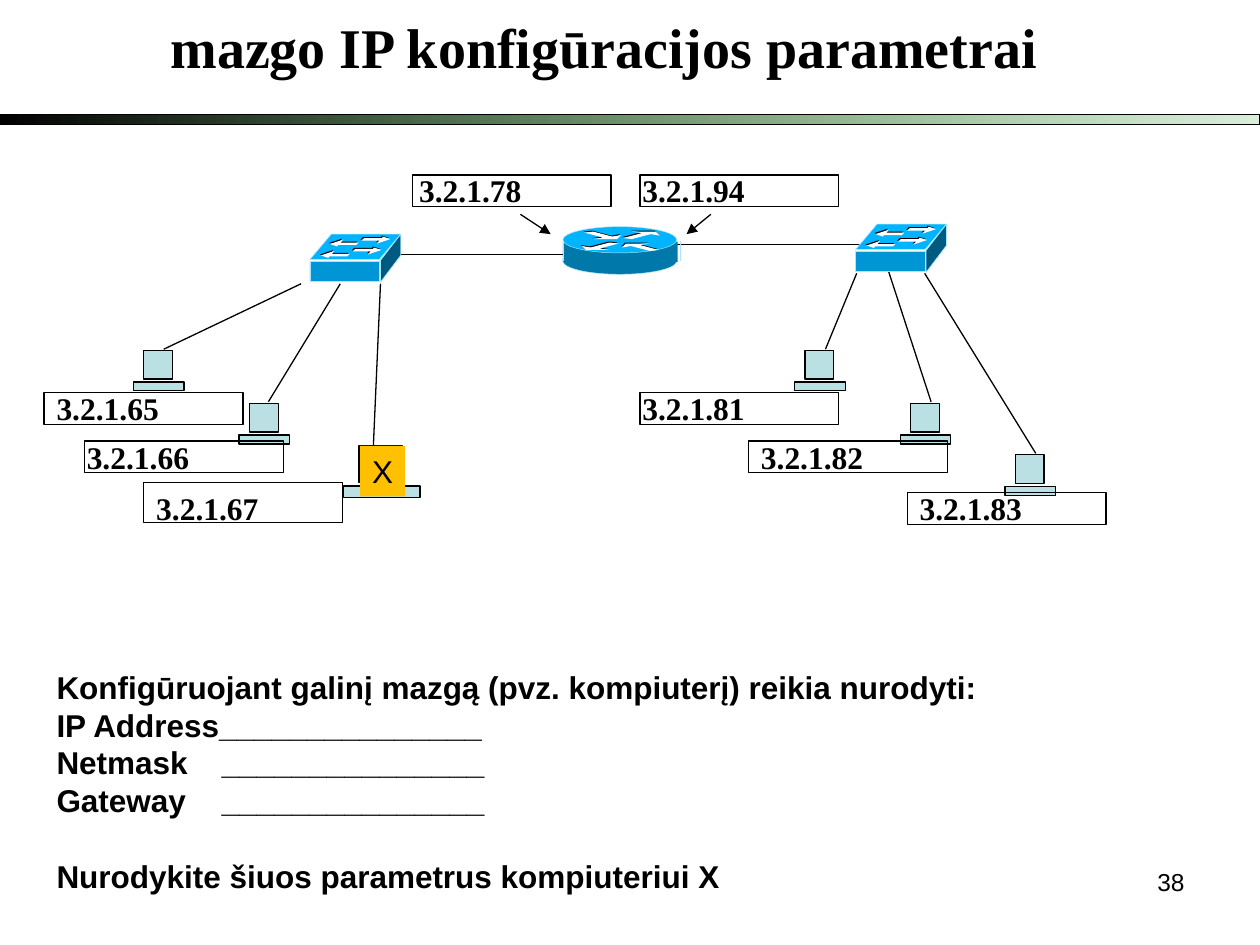
import pptx
import pptx.dml.color
import pptx.enum.shapes
import pptx.enum.text
import pptx.oxml
import pptx.oxml.ns
import pptx.util

Cm, Pt = pptx.util.Cm, pptx.util.Pt
KIND = pptx.enum.shapes.MSO_SHAPE
ALIGN = pptx.enum.text.PP_ALIGN
TIMES = "Times New Roman"
HUE = {
    "ink": "000000", "white": "FFFFFF", "green": "008000", "pc": "BBE0E3",
    "amber": "FFC000", "edge": "AAE6FF", "top": "00B4FF", "front": "0096D5",
    "side": "005A80", "drum": "0078AA",
}
DART = [(0.05, 0.03), (0, 0.08), (0.36, 0.08), (0.31, 0.14),
        (0.58, 0.05), (0.43, 0), (0.41, 0.03)]
BEND = [(0, 0.13), (0.18, 0.15), (0.56, 0.05), (0.74, 0.08),
        (0.66, 0), (0.18, 0), (0.38, 0.03)]
LABELS = [
    ("3.2.1.78", 8.31, 3.53, 0.64, 8.2, 3.33),
    ("3.2.1.94", 12.9, 3.53, 0.64, 12.7, 3.33),
    ("3.2.1.65", 0.89, 7.92, 0.64, 0.89, 7.72),
    ("3.2.1.66", 1.7, 8.89, 0.64, 1.5, 8.71),
    ("3.2.1.67", 2.9, 9.73, 0.81, 2.9, 9.73),
    ("3.2.1.81", 12.9, 7.92, 0.64, 12.7, 7.72),
    ("3.2.1.82", 15.09, 8.89, 0.64, 15.09, 8.71),
    ("3.2.1.83", 18.29, 9.93, 0.64, 18.29, 9.73),
]
NODES = [(2.9, 7.06), (7.24, 8.99, 1.52, 1.26), (5.03, 8.13),
         (16.23, 7.06), (18.36, 8.13), (20.47, 9.17)]
WIRES = [
    (6.07, 5.72, 3.3, 7.04), (6.86, 5.72, 5.41, 8.1),
    (7.67, 5.72, 7.52, 9.14), (17.27, 5.51, 16.64, 7.04),
    (17.86, 5.31, 18.77, 8.1), (18.64, 5.51, 20.88, 9.14),
    (8.05, 5.13, 11.56, 5.13), (13.64, 4.93, 17.55, 4.93),
]
HINTS = [(10.49, 4.32, 11.1, 4.72), (14.33, 4.32, 13.84, 4.72)]
TASK = [
    "Konfigūruojant galinį mazgą (pvz. kompiuterį) reikia nurodyti:",
    "IP Address_______________",
    "Netmask\t_______________",
    "Gateway\t_______________",
    "Nurodykite šiuos parametrus kompiuteriui X",
]


def tint(name):
    return pptx.dml.color.RGBColor.from_string(HUE[name])


def paint(shape, fill=None, line=None, width=0.75):
    shape.shadow.inherit = False
    if fill:
        shape.fill.solid()
        shape.fill.fore_color.rgb = tint(fill)
    else:
        shape.fill.background()
    if line:
        shape.line.color.rgb = tint(line)
        shape.line.width = Pt(width)
    else:
        shape.line.fill.background()
    return shape


def block(pen, x, y, w, h, fill=None, line="ink", width=0.75, kind=KIND.RECTANGLE):
    shape = pen.add_shape(kind, Cm(x), Cm(y), Cm(w), Cm(h))
    return paint(shape, fill, line, width)


def shard(pen, x, y, points, fill, line=None):
    spots = [(Cm(x + a), Cm(y + b)) for a, b in points]
    form = pen.build_freeform(*spots[0], scale=1.0)
    form.add_line_segments(spots[1:], close=True)
    return paint(form.convert_to_shape(), fill, line, 0.37)


def wire(pen, ends, hue="ink", width=0.75, head=False):
    link = pen.add_connector(pptx.enum.shapes.MSO_CONNECTOR.STRAIGHT, *map(Cm, ends))
    link.line.color.rgb = tint(hue)
    link.line.width = Pt(width)
    if head:
        tip = pptx.oxml.ns.qn("a:tailEnd")
        link.line._get_or_add_ln().makeelement(tip)
        node = pptx.oxml.parse_xml(
            f'<a:tailEnd {pptx.oxml.ns.nsdecls("a")} type="triangle"/>')
        link.line._get_or_add_ln().append(node)
    link._element.spPr.append(
        pptx.oxml.parse_xml(f'<a:effectLst {pptx.oxml.ns.nsdecls("a")}/>'))


def write(frame, lines, size, face="Arial", bold=False, align=ALIGN.LEFT, wrap=True):
    frame.word_wrap = wrap
    form = {"name": face, "size": Pt(size), "bold": bold}
    for i, line in enumerate(lines):
        para = frame.paragraphs[0] if i == 0 else frame.add_paragraph()
        para.alignment = align
        run = para.add_run()
        run.text = line
        for key, value in form.items():
            setattr(run.font, key, value)
        run.font.color.rgb = tint("ink")


def note(pen, x, y, w, h, lines, size, **form):
    frame = pen.add_textbox(Cm(x), Cm(y), Cm(w), Cm(h)).text_frame
    write(frame, lines, size, **form)
    return frame


def flip(points, w, h, across, down):
    return [(w - a if across else a, h - b if down else b) for a, b in points]


def marks(pen, x, y, arrows):
    for hue, gap in (("ink", 0), ("white", 0.02)):
        for dx, dy, points in arrows:
            shard(pen, x + dx + gap, y + dy + gap, points, hue)


def node(pen, x, y, wide=1, tall=1):
    pen = pen.add_group_shape().shapes
    block(pen, x, y, 0.58 * wide, 0.58 * tall, "pc")
    block(pen, x - 0.21 * wide, y + 0.64 * tall, 1.02 * wide, 0.18 * tall, "pc")


def switch(pen, x, y):
    pen = pen.add_group_shape().shapes
    block(pen, x, y + 0.55, 1.4, 0.41, "front", "edge", 0.37)
    shard(pen, x, y, [(1.42, 0.53), (1.83, 0), (1.83, 0.43), (1.42, 0.97)], "side", "edge")
    shard(pen, x, y, [(1.4, 0.51), (1.83, 0), (0.43, 0), (0, 0.51)], "top", "edge")
    back = flip(DART, 0.58, 0.15, True, True)
    marks(pen, x, y, [(0.84, 0.25, DART), (1.02, 0.03, DART),
                      (0.2, 0.31, back), (0.38, 0.08, back)])


def router(pen, x, y):
    pen = pen.add_group_shape().shapes
    block(pen, x, y + 0.43, 2.29, 0.53, "drum", "edge", 0.25, KIND.OVAL)
    block(pen, x, y + 0.3, 2.31, 0.41, "drum", None)
    block(pen, x, y, 2.29, 0.53, "top", "edge", 0.25, KIND.OVAL)
    spots = [(1.19, 0.08, False, False), (0.36, 0.3, True, True),
             (0.41, 0.08, False, True), (1.17, 0.32, True, False)]
    marks(pen, x, y, [(a, b, flip(BEND, 0.74, 0.15, across, down))
                      for a, b, across, down in spots])
    for side in (x, x + 2.36):
        wire(pen, (side, y + 0.28, side, y + 0.69), "edge", 0.25)


def rule(pen):
    bar = block(pen, 0, 2.31, 25.4, 0.2)
    bar.fill.gradient()
    bar.fill.gradient_angle = 180
    for stop, hue in zip(bar.fill.gradient_stops, ("green", "ink")):
        stop.color.rgb = tint(hue)
    first = bar._element.xpath(".//a:gs/a:srgbClr")[0]
    first.append(pptx.oxml.parse_xml(
        f'<a:alpha {pptx.oxml.ns.nsdecls("a")} val="14000"/>'))


def task(pen):
    frame = note(pen, 0.89, 13.34, 19.08, 4.83, TASK, 18, bold=True, wrap=False)
    for para in frame.paragraphs:
        para.line_spacing = Pt(21.6)
        para._p.get_or_add_pPr().append(pptx.oxml.parse_xml(
            f'<a:tabLst {pptx.oxml.ns.nsdecls("a")}>'
            f'<a:tab pos="{Cm(3.33)}" algn="l"/></a:tabLst>'))
    frame.paragraphs[-1].space_before = Pt(21.6)


def main():
    deck = pptx.Presentation()
    deck.slide_width, deck.slide_height = Cm(25.4), Cm(19.05)
    pen = deck.slides.add_slide(deck.slide_layouts[6]).shapes
    note(pen, 18.21, 17.35, 5.92, 1.32, ["38"], 14, align=ALIGN.RIGHT)
    rule(pen)
    note(pen, 3, 0.13, 18.36, 1.63, ["mazgo IP konfigūracijos parametrai"], 32,
         face=TIMES, bold=True, align=ALIGN.CENTER, wrap=False)
    task(pen)
    for place in NODES:
        node(pen, *place)
    for ends in WIRES:
        wire(pen, ends)
    router(pen, 11.35, 4.57)
    switch(pen, 17.25, 4.52)
    switch(pen, 6.25, 4.72)
    for ends in HINTS:
        wire(pen, ends, head=True)
    for text, x, y, h, left, top in LABELS:
        block(pen, x, y, 4.01, h)
        note(pen, left, top, 4.19, 1.02, [text], 18, face=TIMES, bold=True)
    mark = block(pen, 7.26, 8.99, 0.91, 1.02, "amber", None)
    write(mark.text_frame, ["X"], 18, align=ALIGN.CENTER, wrap=False)
    deck.save("out.pptx")


if __name__ == "__main__":
    main()
